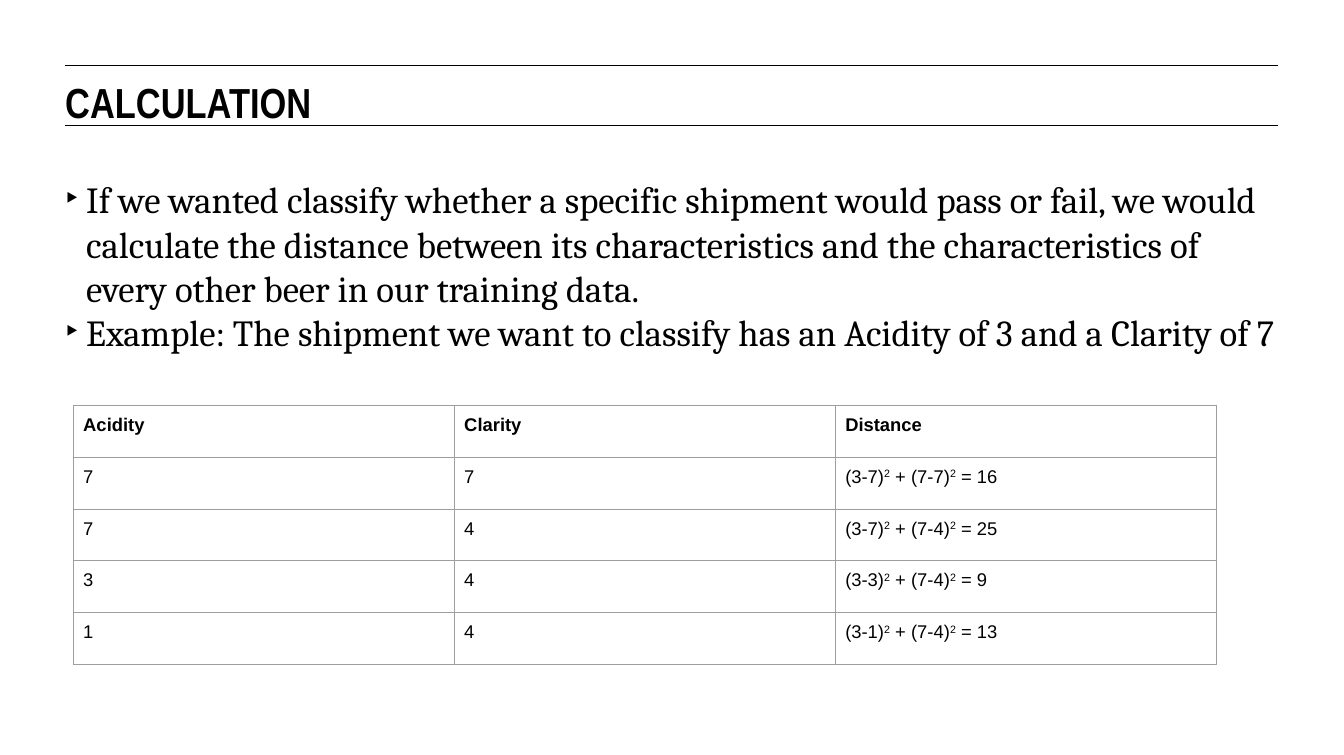
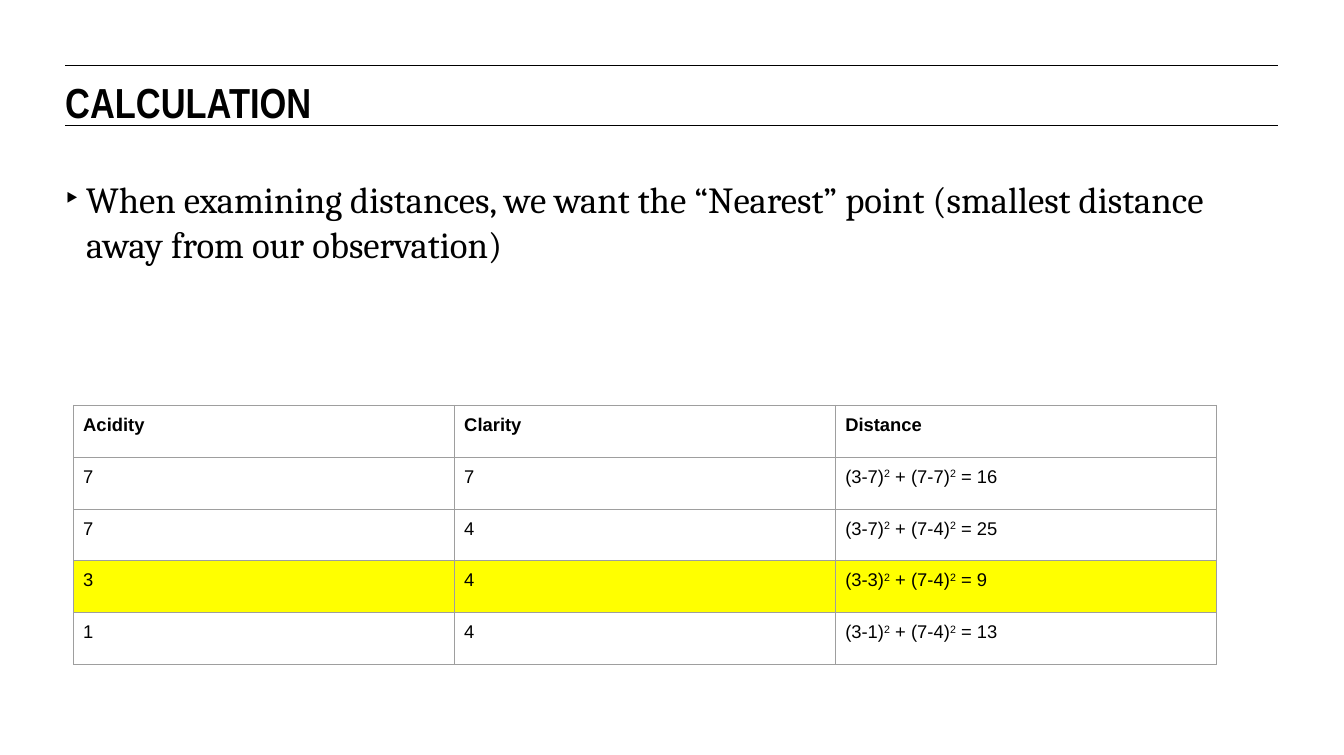
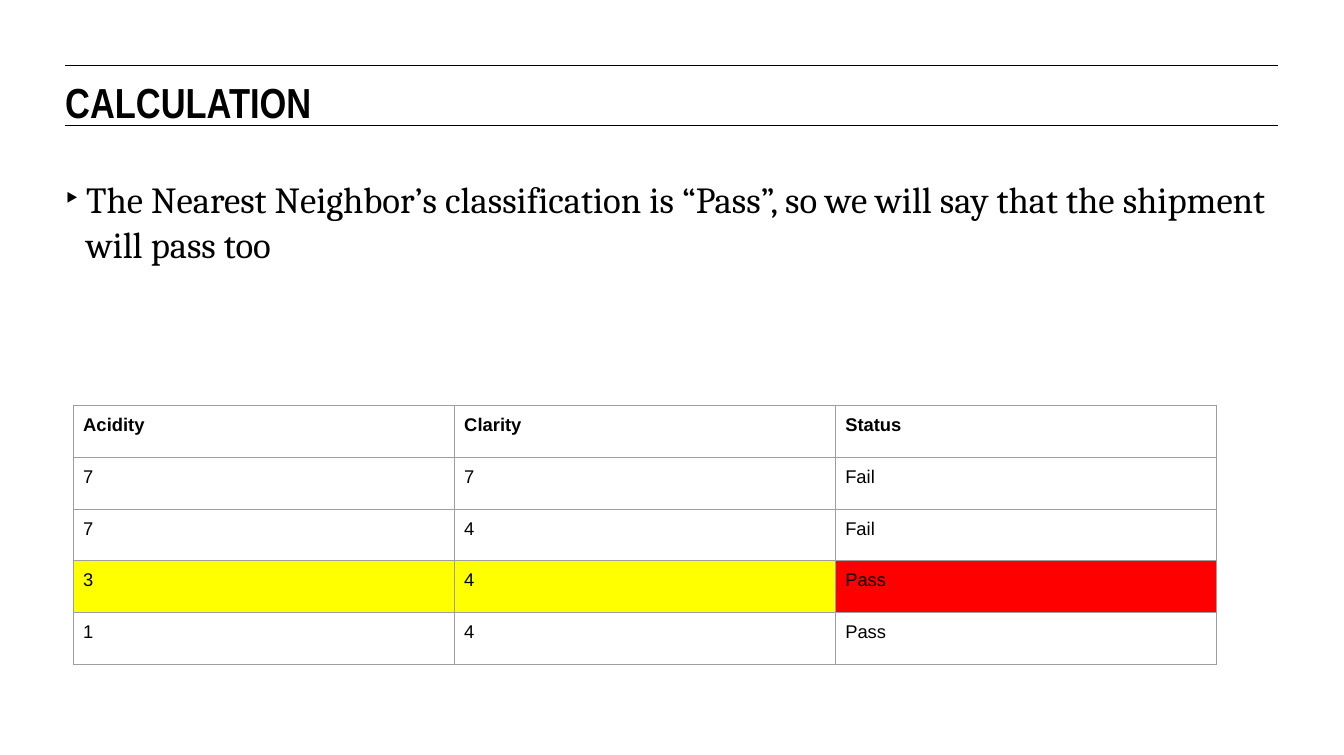
from pptx import Presentation
from pptx import util as u
from pptx.dml.color import RGBColor
from pptx.enum import shapes, text
from pptx.oxml import parse_xml
from pptx.oxml.ns import nsdecls
from pptx.oxml.xmlchemy import OxmlElement

Pt = u.Pt

COLOURS = {"text": "000000", "grid": "9E9E9E", "nearest": "FFFF00", "answer": "FF0000"}

# Boxes: left, top, width, height in points
TITLE_BOX = (49.7, 58.3, 924, 34)
LIST_BOX = (49.7, 135, 924, 146)
TABLE_BOX = (56.2, 308.9, 870.9, 197.5)
RULE_TOPS = (49.7, 95.8)

# Beer samples: acidity, clarity, status
SHIPMENT = (3, 7)
SAMPLES = [(7, 7, "Fail"), (7, 4, "Fail"), (3, 4, "Pass"), (1, 4, "Pass")]
NEAREST_ROW = 3


def colour(key):
    return RGBColor.from_string(COLOURS[key])


def style_runs(paragraph, font, size, bold=False):
    for run in paragraph.runs:
        run.font.name = font
        run.font.size = Pt(size)
        run.font.bold = bold
        run.font.color.rgb = colour("text")


def place(placeholder, box):
    """Move a placeholder to its box and clear its insets."""
    placeholder.left, placeholder.top, placeholder.width, placeholder.height = map(Pt, box)
    frame = placeholder.text_frame
    frame.margin_left = frame.margin_top = frame.margin_right = frame.margin_bottom = 0
    frame.word_wrap = True
    frame.auto_size = text.MSO_AUTO_SIZE.NONE
    frame.vertical_anchor = text.MSO_ANCHOR.TOP
    return frame


def add_layout_rules(slide, box):
    """Draw the two title rules and hand them to the slide's layout."""
    left, _, width, _ = box
    for top in RULE_TOPS:
        rule = slide.shapes.add_connector(
            shapes.MSO_CONNECTOR.STRAIGHT, Pt(left), Pt(top), Pt(left + width), Pt(top))
        rule.line.color.rgb = colour("text")
        rule.line.width = Pt(0.75)
        rule.element.spPr.append(OxmlElement("a:effectLst"))
        slide.slide_layout.shapes.element.append(rule.element)


def fill_title(slide, heading, box):
    frame = place(slide.shapes.title, box)
    frame.text = heading
    frame.paragraphs[0].alignment = text.PP_ALIGN.LEFT
    style_runs(frame.paragraphs[0], "Arial Narrow", 32, bold=True)


def fill_list(slide, points, box):
    frame = place(slide.placeholders[1], box)
    frame.text = "\n".join(points)
    for point in frame.paragraphs:
        point.space_before = point.space_after = Pt(0)
        style_runs(point, "Cambria", 28)
        # Triangular bullet with a hanging indent
        props = point._p.get_or_add_pPr()
        props.set("marL", str(Pt(16)))
        props.set("indent", str(Pt(-20)))
        for tag, attribute, value in (("a:buFont", "typeface", "Arial"),
                                      ("a:buChar", "char", "‣")):
            bullet = OxmlElement(tag)
            bullet.set(attribute, value)
            props.append(bullet)


def add_borders(cell):
    for side in "LRTB":
        cell._tc.get_or_add_tcPr().append(parse_xml(
            f'<a:ln{side} {nsdecls("a")} w="{Pt(0.75)}"><a:solidFill>'
            f'<a:srgbClr val="{COLOURS["grid"]}"/></a:solidFill></a:ln{side}>'))


def fill_cell(cell, content, bold, fill):
    cell.margin_left = cell.margin_right = cell.margin_top = cell.margin_bottom = Pt(7.2)
    paragraph = cell.text_frame.paragraphs[0]
    # Every second part between carets is a superscript
    for index, part in enumerate(str(content).split("^")):
        run = paragraph.add_run()
        run.text = part
        if index % 2:
            run.font._element.set("baseline", "30000")
    style_runs(paragraph, "Arial", 14, bold)
    add_borders(cell)
    if fill:
        cell.fill.solid()
        cell.fill.fore_color.rgb = colour(fill)
    else:
        cell.fill.background()


def add_samples_table(slide, rows, highlights, box):
    """Highlights are the fills of the nearest sample's cells."""
    table = slide.shapes.add_table(len(rows), len(rows[0]), *map(Pt, box)).table
    table.first_row = table.horz_banding = False
    for r, row in enumerate(rows):
        for c, content in enumerate(row):
            fill = highlights[c] if r == NEAREST_ROW else None
            fill_cell(table.cell(r, c), content, r == 0, fill)


def distance(acidity, clarity):
    a, c = SHIPMENT
    total = (a - acidity) ** 2 + (c - clarity) ** 2
    return f"({a}-{acidity})^2^ + ({c}-{clarity})^2^ = {total}"


def add_calculation_slide(deck, points, rows, highlights):
    slide = deck.slides.add_slide(deck.slide_layouts[1])
    fill_title(slide, "CALCULATION", TITLE_BOX)
    fill_list(slide, points, LIST_BOX)
    add_samples_table(slide, rows, highlights, TABLE_BOX)
    return slide


def main():
    deck = Presentation()
    deck.slide_width, deck.slide_height = Pt(1024), Pt(575.3)

    distances = [("Acidity", "Clarity", "Distance")]
    distances += [(a, c, distance(a, c)) for a, c, _ in SAMPLES]
    statuses = [("Acidity", "Clarity", "Status")] + SAMPLES

    # Distances to every sample
    first = add_calculation_slide(deck, [
        "If we wanted classify whether a specific shipment would pass or fail, we would "
        "calculate the distance between its characteristics and the characteristics of "
        "every other beer in our training data.",
        "Example: The shipment we want to classify has an Acidity of 3 and a Clarity of 7",
    ], distances, [None] * 3)
    add_layout_rules(first, TITLE_BOX)

    # Nearest sample
    add_calculation_slide(deck, [
        "When examining distances, we want the “Nearest” point (smallest distance "
        "away from our observation)",
    ], distances, ["nearest"] * 3)

    # Its classification
    add_calculation_slide(deck, [
        "The Nearest Neighbor’s classification is “Pass”, so we will say that the "
        "shipment will pass too",
    ], statuses, ["nearest", "nearest", "answer"])

    deck.save("out.pptx")


if __name__ == "__main__":
    main()
